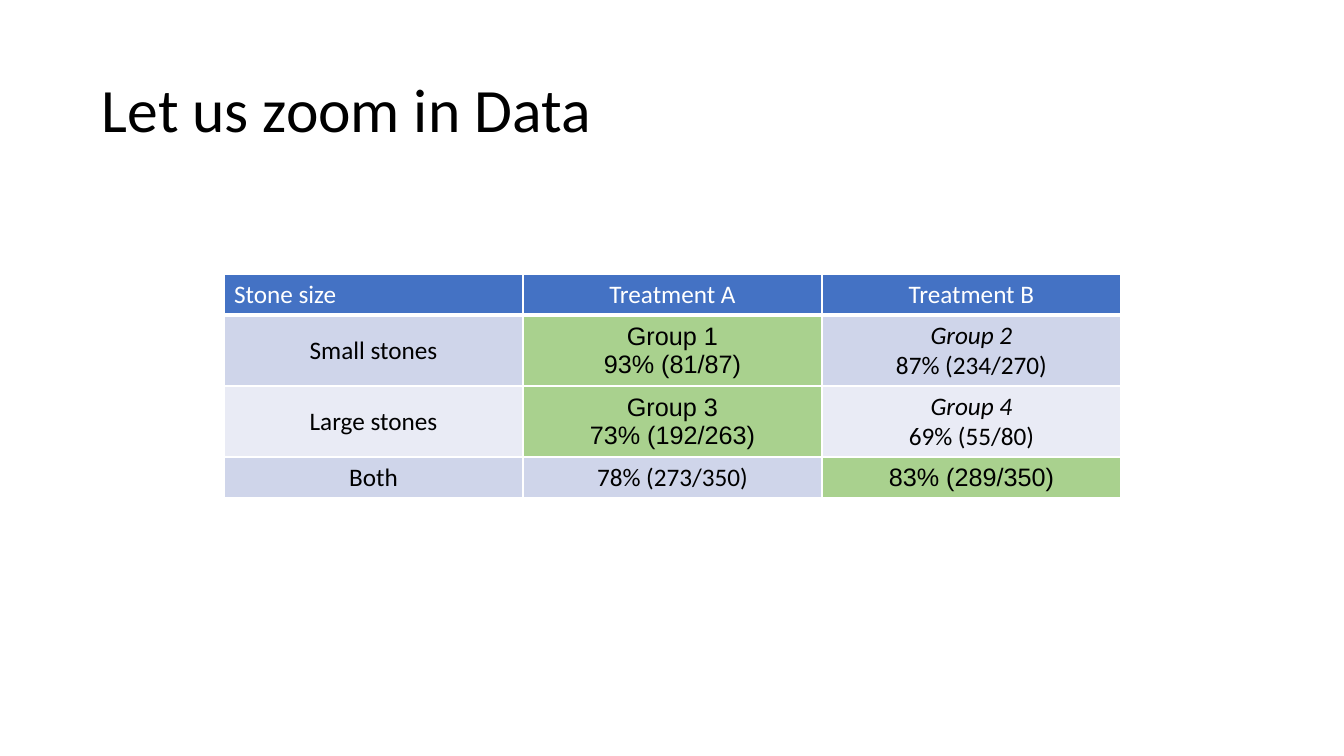
"""Build a slide with a table of treatment success by stone size."""
from lxml import etree
from pptx import Presentation
from pptx.dml.color import RGBColor
from pptx.enum.text import MSO_ANCHOR, PP_ALIGN
from pptx.oxml.ns import qn
from pptx.util import Emu, Pt

MIDDLE = MSO_ANCHOR.MIDDLE
LEFT, CENTER = PP_ALIGN.LEFT, PP_ALIGN.CENTER
BLUE, BAND, LIGHT, GREEN = "4472C4", "CFD5EA", "E9EBF5", "A9D18E"
BLACK, WHITE = "000000", "FFFFFF"
COL_W = 299
ROW_H = [41, 71, 71, 41]
ROW_FILLS = [BLUE, BAND, LIGHT, BAND]
ROWS = [
    ["Stone size", "Treatment A", "Treatment B"],
    ["Small stones", "Group 1\n93% (81/87)", "Group 2\n87% (234/270)"],
    ["Large stones", "Group 3\n73% (192/263)", "Group 4\n69% (55/80)"],
    ["Both", "78% (273/350)", "83% (289/350)"],
]
BEST = {(1, 1), (2, 1), (3, 2)}
ITALIC = {"Group 2", "Group 4"}


def px(n):
    return Emu(round(n * 914400 / 100.8))


def add_run(p, text, color, **fmt):
    r = p.add_run()
    r.text = text
    r.font.color.rgb = RGBColor.from_string(color)
    for name, value in fmt.items():
        setattr(r.font, name, value)


prs = Presentation()
prs.slide_width, prs.slide_height = px(1344), px(756)
s = prs.slides.add_slide(prs.slide_layouts[6])

title = s.shapes.add_textbox(px(92), px(40), px(1159), px(146))
tf = title.text_frame
tf.word_wrap = True
tf.vertical_anchor = MIDDLE
p = tf.paragraphs[0]
p.line_spacing = 0.9
add_run(p, "Let us zoom in Data", BLACK, name="Calibri", size=Pt(44))

frame = s.shapes.add_table(len(ROWS), 3, px(224), px(274), px(3 * COL_W), px(sum(ROW_H)))
table = frame.table
for col in table.columns:
    col.width = px(COL_W)

for i, texts in enumerate(ROWS):
    table.rows[i].height = px(ROW_H[i])
    for j, text in enumerate(texts):
        cell = table.cell(i, j)
        cell.vertical_anchor = MIDDLE
        tcPr = cell._tc.get_or_add_tcPr()
        for side in "LRTB":
            thick = (i, side) in {(0, "B"), (1, "T")}
            ln = etree.SubElement(tcPr, qn(f"a:ln{side}"), w=str(Pt(3 if thick else 1)))
            fill = etree.SubElement(ln, qn("a:solidFill"))
            etree.SubElement(fill, qn("a:srgbClr"), val=WHITE)
        best = (i, j) in BEST
        cell.fill.solid()
        cell.fill.fore_color.rgb = RGBColor.from_string(GREEN if best else ROW_FILLS[i])
        p = cell.text_frame.paragraphs[0]
        p.alignment = LEFT if i == j == 0 else CENTER
        for k, line in enumerate(text.split("\n")):
            if k:
                p.add_line_break()
            add_run(p, line, BLACK if i else WHITE, name="Arial" if best else "Calibri",
                    size=Pt(18), bold=False, italic=line in ITALIC)

prs.save("out.pptx")
